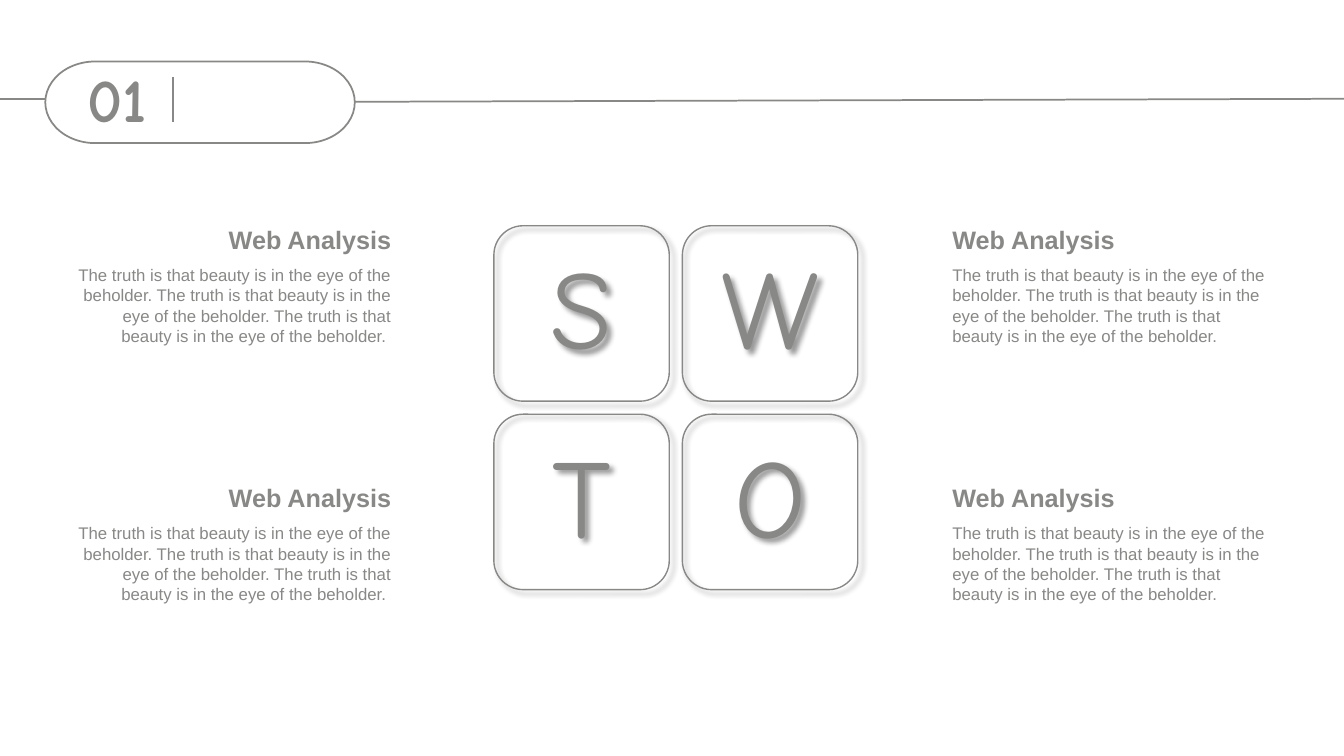
from lxml.etree import SubElement
from pptx import Presentation
from pptx.dml.color import RGBColor
from pptx.enum.shapes import MSO_CONNECTOR, MSO_SHAPE
from pptx.enum.text import MSO_ANCHOR, MSO_AUTO_SIZE, PP_ALIGN
from pptx.oxml.ns import qn
from pptx.util import Pt

COLORS = {"gray": "888886", "shadow": "000000"}
NUMBER = "01"
LETTERS = ["SW", "TO"]
HEADING = "Web Analysis"
BODY = " ".join(["The truth is that beauty is in the eye of the beholder."] * 3)
COLUMNS = [
    {"body_left": 44.64, "heading_left": 154.8, "align": PP_ALIGN.RIGHT, "body": BODY + " "},
    {"body_left": 673.2, "heading_left": 673.2, "align": PP_ALIGN.LEFT, "body": BODY},
]
LINES = [
    (253.44, 72.72, 960, 70.56),
    (0, 70.56, 32.4, 70.56),
    (123.84, 87.12, 123.84, 54.72),
]
PILL = (32.4, 43.92, 221.04, 58.32)
TILE_LEFT, TILE_TOP, TILE_SIZE, TILE_PITCH = 352.8, 161.28, 125.28, 134.64
HEADING_TOP, BODY_TOP, ROW_PITCH = 156.96, 185.76, 184.32

HEADING_FONT = {"name": "Arial", "size": Pt(18), "bold": True}
BODY_FONT = {"name": "Arial", "size": Pt(12)}
NUMBER_FONT = {"name": "Comic Neue", "size": Pt(44), "bold": True}
LETTER_FONT = {"name": "Comic Neue", "size": Pt(80)}
TILE_FRAME = {
    "vertical_anchor": MSO_ANCHOR.MIDDLE,
    "word_wrap": True,
    **{f"margin_{side}": Pt(18) for side in ("left", "top", "right", "bottom")},
}
TILE_PARAGRAPH = {"alignment": PP_ALIGN.CENTER, "line_spacing": 0.9, "space_after": Pt(28)}


def apply(target, values):
    for name, value in values.items():
        setattr(target, name, value)


def color(name):
    return RGBColor.from_string(COLORS[name])


def write(shape, text, font, frame_format, para_format):
    frame = shape.text_frame
    apply(frame, frame_format)
    para = frame.paragraphs[0]
    apply(para, para_format)
    span = para.add_run()
    span.text = text
    apply(span.font, font)
    span.font.color.rgb = color("gray")


def add_text(page, place, text, font, align=PP_ALIGN.LEFT, wrap=True):
    box = page.shapes.add_textbox(*map(Pt, place))
    frame_format = {"word_wrap": wrap, "auto_size": MSO_AUTO_SIZE.SHAPE_TO_FIT_TEXT}
    write(box, text, font, frame_format, {"alignment": align})


def set_line(shape, width):
    shape.line.color.rgb = color("gray")
    shape.line.width = Pt(width)


def add_outline(page, kind, place, width):
    shape = page.shapes.add_shape(kind, *map(Pt, place))
    shape.shadow.inherit = False
    shape.fill.background()
    set_line(shape, width)
    return shape


def add_line(page, ends):
    line = page.shapes.add_connector(MSO_CONNECTOR.STRAIGHT, *map(Pt, ends))
    set_line(line, 1.25)
    SubElement(line._element.spPr, qn("a:effectLst"))


def add_shadow(shape):
    effects = shape._element.spPr.find(qn("a:effectLst"))
    shadow = SubElement(effects, qn("a:outerShdw"), blurRad=str(Pt(4)), dist=str(Pt(4)),
                        dir=str(45 * 60000), algn="tl", rotWithShape="0")
    tint = SubElement(shadow, qn("a:srgbClr"), val=COLORS["shadow"])
    SubElement(tint, qn("a:alpha"), val="40000")


def add_tile(page, row, column, letter):
    place = (TILE_LEFT + column * TILE_PITCH, TILE_TOP + row * TILE_PITCH, TILE_SIZE, TILE_SIZE)
    tile = add_outline(page, MSO_SHAPE.ROUNDED_RECTANGLE, place, 1)
    add_shadow(tile)
    write(tile, letter, LETTER_FONT, TILE_FRAME, TILE_PARAGRAPH)


def main():
    deck = Presentation()
    apply(deck, {"slide_width": Pt(960), "slide_height": Pt(540)})
    page = deck.slides.add_slide(deck.slide_layouts[6])

    add_outline(page, MSO_SHAPE.FLOWCHART_TERMINATOR, PILL, 1.25)
    for ends in LINES:
        add_line(page, ends)
    add_text(page, (55.44, 40.32, 56.88, 60.48), NUMBER, NUMBER_FONT)

    for row, letters in enumerate(LETTERS):
        for column, letter in enumerate(letters):
            add_tile(page, row, column, letter)

    for column in COLUMNS:
        for row in range(len(LETTERS)):
            shift = row * ROW_PITCH
            body_place = (column["body_left"], BODY_TOP + shift, 241.92, 65.52)
            heading_place = (column["heading_left"], HEADING_TOP + shift, 131.76, 28.8)
            add_text(page, body_place, column["body"], BODY_FONT, column["align"])
            add_text(page, heading_place, HEADING, HEADING_FONT, column["align"], False)

    deck.save("out.pptx")


if __name__ == "__main__":
    main()
